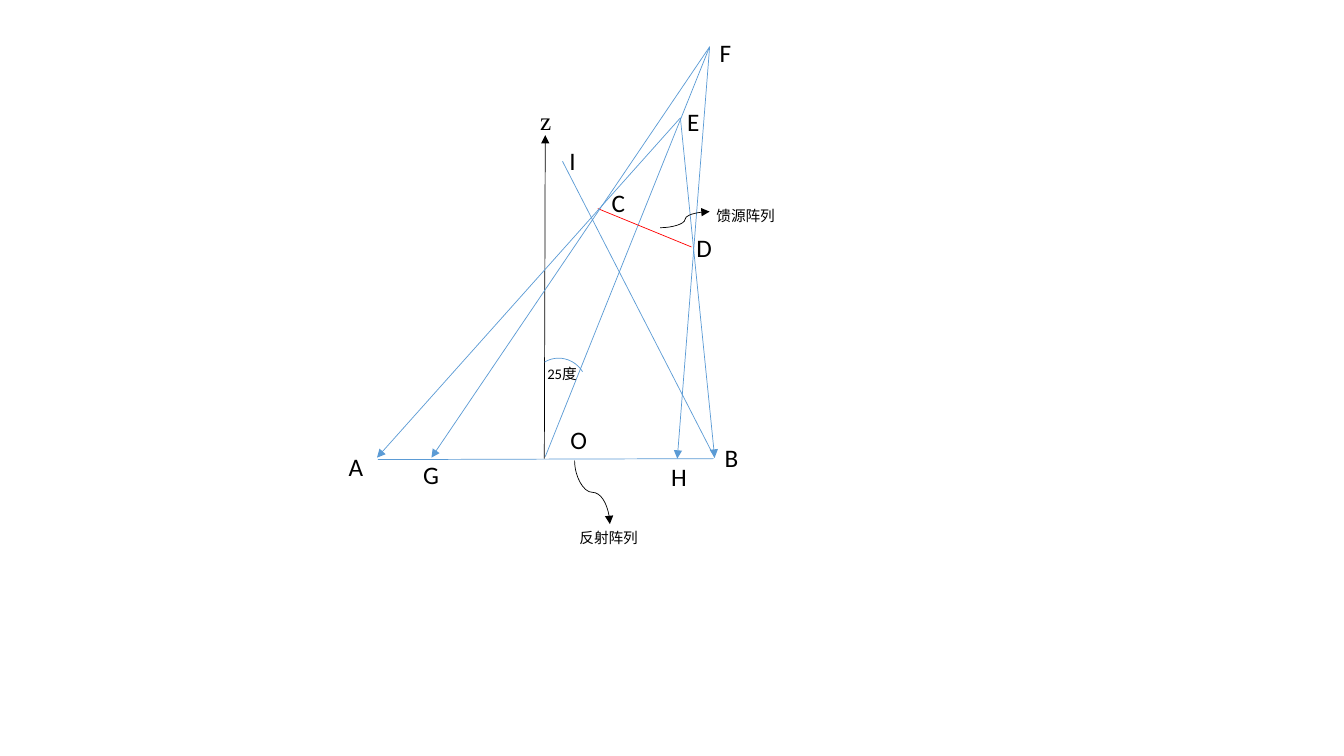
import pptx
import pptx.dml.color
import pptx.enum.shapes
import pptx.enum.text
import pptx.oxml.ns
import pptx.oxml.xmlchemy
import pptx.util

Pt = pptx.util.Pt
SHAPE = pptx.enum.shapes.MSO_SHAPE
CONNECTOR = pptx.enum.shapes.MSO_CONNECTOR
BLUE, RED, BLACK = "5B9BD5", "FF0000", "000000"
FIGURE_BOX = (240, 24)

# Points of the ray diagram, relative to the figure box
A, B = (29.3, 302.9), (270.5, 302.9)
G, H = (68.2, 302.9), (243.8, 303.6)
C, D = (187, 125), (253.9, 152.4)
E, F = (246, 60.2), (266.9, 9.4)
I, O = (161.8, 91.2), (149.5, 302.2)

# Start, end, colour, arrowhead
LINES = [
    ((30, 304.3), (269.8, 303.6), BLUE, False),
    (O, F, BLUE, False),
    ((148.8, 303.6), (149.5, 72.5), BLACK, True),
    (C, D, RED, False),
    (E, A, BLUE, True),
    (E, B, BLUE, True),
    (F, G, BLUE, True),
    (F, H, BLUE, True),
    (B, I, BLUE, False),
]

# Left and top of each point's letter
LETTERS = {
    "O": (160.3, 275.5), "A": (1.9, 295), "B": (270.5, 288.5),
    "C": (189.8, 106.3), "D": (250.3, 138.7), "E": (243.8, 48.7),
    "F": (266.9, -1), "G": (55.2, 300.7), "H": (232.3, 302.2),
    "I": (159.6, 76.1),
}

# Text, left, top, width
NOTES = [
    ("反射阵列", 166.8, 350.4, 57),
    ("馈源阵列", 264.7, 120, 105),
    ("25度", 143.8, 233, 54),
]


def colour(value):
    return pptx.dml.color.RGBColor.from_string(value)


def add_line(slide, box, start, end, line_colour, arrow=False,
             kind=CONNECTOR.STRAIGHT, turn=0):
    left, top = box
    line = slide.shapes.add_connector(
        kind, Pt(left + start[0]), Pt(top + start[1]),
        Pt(left + end[0]), Pt(top + end[1]))
    line.line.color.rgb = colour(line_colour)
    line.line.width = Pt(0.5)
    properties = line._element.spPr
    if arrow:
        head = pptx.oxml.xmlchemy.OxmlElement("a:tailEnd")
        head.set("type", "triangle")
        properties.find(pptx.oxml.ns.qn("a:ln")).append(head)
    if turn:
        properties.find(pptx.oxml.ns.qn("a:xfrm")).set("rot", str(turn * 60000))
    properties.append(pptx.oxml.xmlchemy.OxmlElement("a:effectLst"))


def add_label(slide, box, text, left, top, width, height, size, font="Calibri"):
    label = slide.shapes.add_textbox(
        Pt(box[0] + left), Pt(box[1] + top), Pt(width), Pt(height))
    frame = label.text_frame
    frame.word_wrap = True
    frame.auto_size = pptx.enum.text.MSO_AUTO_SIZE.SHAPE_TO_FIT_TEXT
    span = frame.paragraphs[0].add_run()
    span.text = text
    span.font.size = Pt(size)
    span.font.name = font
    span.font.color.rgb = colour(BLACK)


def add_rays(slide, box):
    for start, end, line_colour, arrow in LINES:
        add_line(slide, box, start, end, line_colour, arrow)

    # Angle between the z axis and the line OF
    arc = slide.shapes.add_shape(
        SHAPE.ARC, Pt(box[0] + 140.2), Pt(box[1] + 231.6), Pt(38.9), Pt(40.3))
    arc.rotation = 328.1
    arc.shadow.inherit = False
    arc.fill.background()
    arc.line.color.rgb = colour(BLUE)
    arc.line.width = Pt(0.5)


def add_labels(slide, box):
    # Curved pointers to the notes on the feed and the reflector
    add_line(slide, box, (231.6, 138.7), (266.9, 127.2), BLACK, True,
             CONNECTOR.CURVE)
    add_line(slide, box, (205.7, 315.1), (160.3, 340.3), BLACK, True,
             CONNECTOR.CURVE, turn=270)
    for text, left, top, width in NOTES:
        add_label(slide, box, text, left, top, width, 20, 10.5)

    # Axis name and point letters
    add_label(slide, box, "z", 138.7, 48, 21.6, 28.8, 18, "Times New Roman")
    for letter, (left, top) in LETTERS.items():
        add_label(slide, box, letter, left, top, 19.4, 28.8, 18)


def main():
    deck = pptx.Presentation()
    deck.slide_width, deck.slide_height = Pt(960), Pt(540)
    slide = deck.slides.add_slide(deck.slide_layouts[6])
    add_rays(slide, FIGURE_BOX)
    add_labels(slide, FIGURE_BOX)
    deck.save("out.pptx")


if __name__ == "__main__":
    main()
